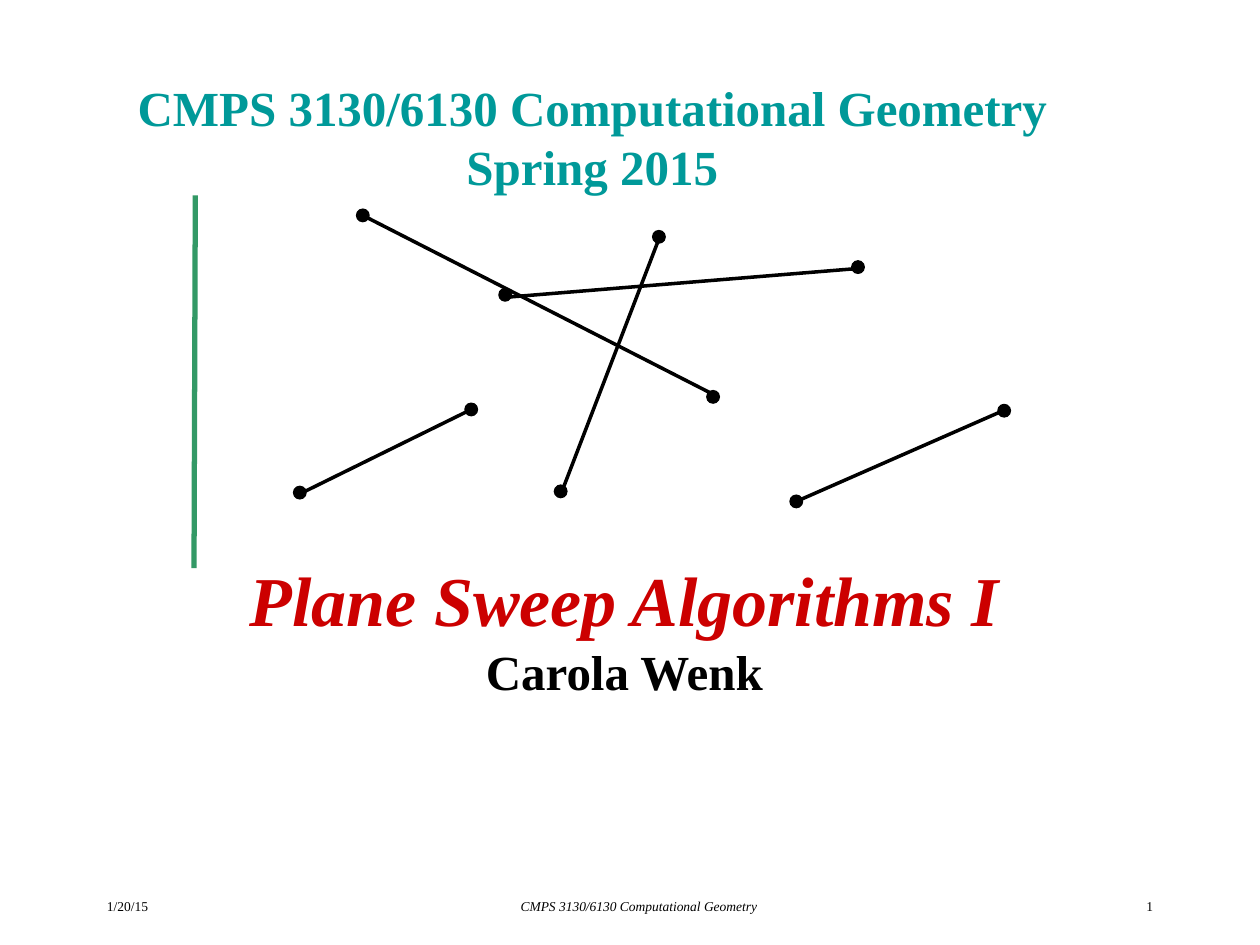
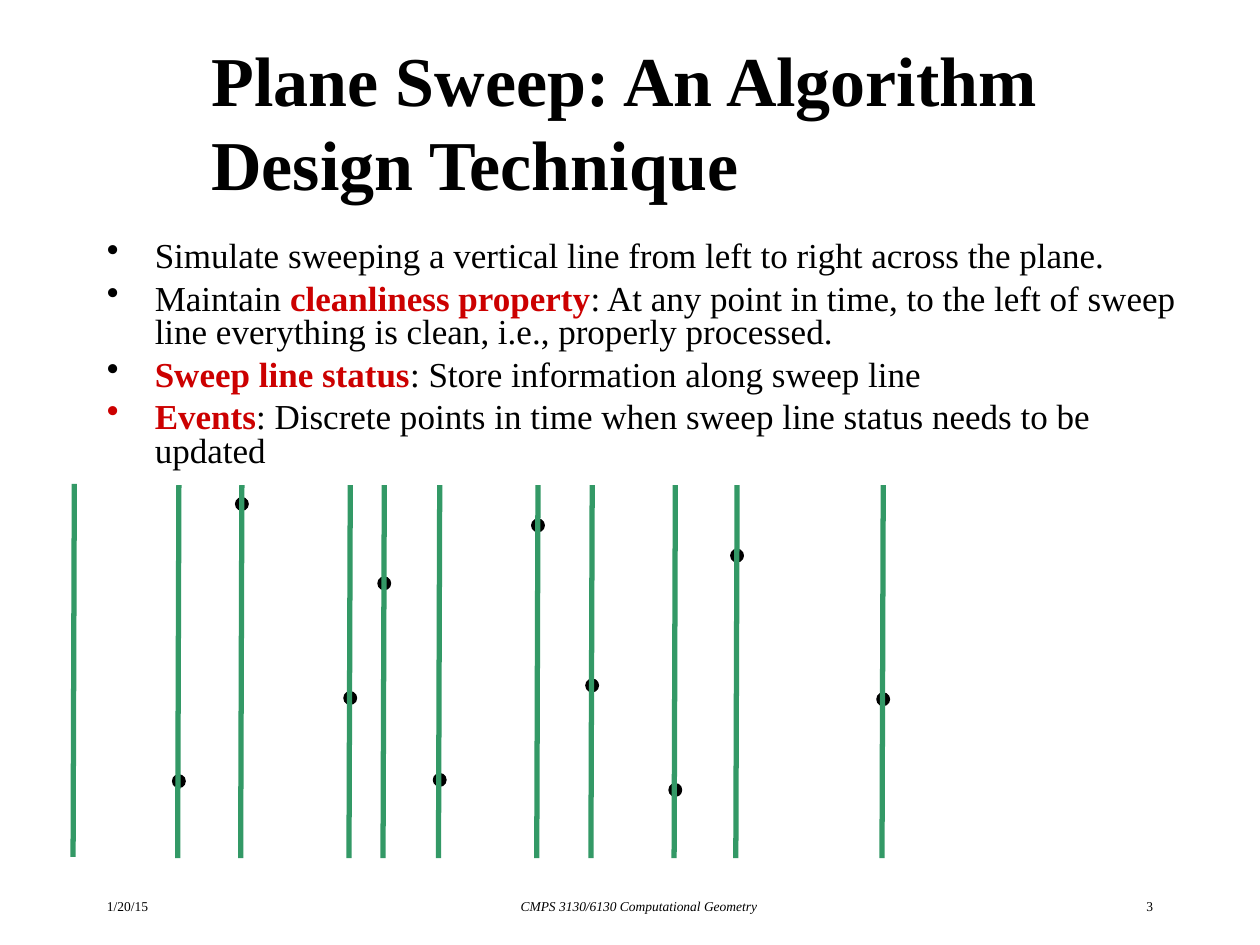
import pptx
import pptx.util
import pptx.dml.color
import pptx.enum.shapes
import pptx.enum.text
import pptx.oxml
import pptx.oxml.ns

Inches = pptx.util.Inches
Pt = pptx.util.Pt
ALIGN = pptx.enum.text.PP_ALIGN
ANCHOR = pptx.enum.text.MSO_ANCHOR
SHAPES = pptx.enum.shapes

BLACK, RED, TEAL, GREEN = "000000", "CC0000", "009999", "339966"
COURSE = "CMPS 3130/6130 Computational Geometry"
DOTS = [(4.4, 3.85), (5.18, 1.83), (5.61, 3.1), (6.27, 3.93), (7.92, 3.21),
        (6.76, 2.07), (3.96, 2.29), (3.69, 3.2), (2.83, 1.66), (2.33, 3.86)]
SEGMENTS = [(2.38, 3.92, 3.76, 3.24), (2.88, 1.71, 5.68, 3.14),
            (4.46, 3.9, 5.24, 1.87), (4.01, 2.36, 6.82, 2.13),
            (6.32, 3.98, 7.96, 3.26)]
DOT = 0.1
SHIFT = (-0.96, 2.29)


def color(code):
    return pptx.dml.color.RGBColor.from_string(code)


class Deck:
    font = "Times New Roman"

    def __init__(self):
        self.show = pptx.Presentation()
        self.show.slide_width = Inches(10)
        self.show.slide_height = Inches(7.5)

    def page(self, number):
        self.slide = self.show.slides.add_slide(self.show.slide_layouts[6])
        self.foot(0.75, 0.95, "1/20/15", ALIGN.LEFT)
        self.foot(1.9, 6.34, COURSE, ALIGN.CENTER, italic=True)
        self.foot(8.43, 0.82, number, ALIGN.RIGHT)

    def foot(self, left, width, words, align, **style):
        frame = self.box(left, 7.08, width, 0.25)
        self.para(frame, [(words, style)], 7.7, alignment=align)

    def title(self, place, lines, size, code, align):
        frame = self.box(*place, anchor=ANCHOR.MIDDLE)
        runs = [(line, {"bold": True, "code": code}) for line in lines]
        self.para(frame, runs, size, alignment=align)

    def box(self, left, top, width, height, anchor=ANCHOR.TOP):
        frame = self.slide.shapes.add_textbox(
            Inches(left), Inches(top), Inches(width), Inches(height)).text_frame
        frame.word_wrap = True
        frame.vertical_anchor = anchor
        return frame

    def para(self, frame, runs, size, bullet=None, **form):
        first = frame.paragraphs[0]
        para = frame.add_paragraph() if first.runs else first
        if para is first:
            form.pop("space_before", None)
        if bullet:
            self.bullet(para, bullet)
        for name, value in form.items():
            setattr(para, name, value)
        for index, (words, style) in enumerate(runs):
            if index and not bullet:
                para.add_line_break()
            run = para.add_run()
            run.text = words
            look = {"name": self.font, "size": Pt(size), **style}
            run.font.color.rgb = color(look.pop("code", BLACK))
            for name, value in look.items():
                setattr(run.font, name, value)

    def bullet(self, para, code):
        props = para._p.get_or_add_pPr()
        props.set("marL", str(Inches(0.38)))
        props.set("indent", str(-Inches(0.38)))
        space = pptx.oxml.ns.nsdecls("a")
        for xml in (f'<a:buClr {space}><a:srgbClr val="{code}"/></a:buClr>',
                    f'<a:buChar {space} char="•"/>'):
            props.append(pptx.oxml.parse_xml(xml))

    def dot(self, left, top):
        dot = self.slide.shapes.add_shape(
            SHAPES.MSO_SHAPE.OVAL, Inches(left), Inches(top), Inches(DOT), Inches(DOT))
        dot.shadow.inherit = False
        dot.fill.solid()
        dot.fill.fore_color.rgb = color(BLACK)
        dot.line.color.rgb = color(BLACK)
        dot.line.width = Pt(0.75)

    def line(self, ends, code=BLACK, width=2):
        line = self.slide.shapes.add_connector(
            SHAPES.MSO_CONNECTOR.STRAIGHT, *[Inches(end) for end in ends])
        line.line.color.rgb = color(code)
        line.line.width = Pt(width)
        props = line._element.spPr
        props.append(props.makeelement(pptx.oxml.ns.qn("a:effectLst"), {}))

    def sweep(self, left, top):
        self.line((left, top, left - 0.01, top + 2.96), GREEN, 3)


def cover(deck):
    deck.page("1")
    deck.title((0.24, 0.54, 8.92, 1.08), [COURSE, "Spring 2015"], 28, TEAL, ALIGN.CENTER)
    frame = deck.box(0.33, 4.5, 9.25, 1.67)
    form = {"alignment": ALIGN.CENTER, "line_spacing": 0.8}
    topic = {"bold": True, "italic": True, "code": RED}
    deck.para(frame, [("Plane Sweep Algorithms I", topic)], 40, **form)
    deck.para(frame, [("Carola Wenk", {"bold": True})], 28, space_before=Pt(7), **form)
    for left, top in DOTS:
        deck.dot(left, top)
    deck.sweep(1.55, 1.55)
    for ends in SEGMENTS:
        deck.line(ends)


def method(deck):
    deck.page("3")
    deck.title((1.58, 0.33, 8.25, 1.25), ["Plane Sweep: An Algorithm Design Technique"],
               40, BLACK, ALIGN.LEFT)
    term = {"bold": True, "code": RED}
    points = [
        (BLACK, [("Simulate sweeping a vertical line from left to right across the plane.", {})]),
        (BLACK, [("Maintain ", {}), ("cleanliness property", term),
                 (": At any point in time, to the left of sweep line everything is clean, "
                  "i.e., properly processed.", {})]),
        (BLACK, [("Sweep line status", term), (": Store information along sweep line", {})]),
        (RED, [("Events", term),
               (": Discrete points in time when sweep line status needs to be updated", {})]),
    ]
    frame = deck.box(0.75, 1.87, 8.72, 2.62)
    for code, runs in points:
        deck.para(frame, runs, 20, bullet=code, line_spacing=0.8, space_before=Pt(5))
    events = [(left + SHIFT[0], top + SHIFT[1]) for left, top in DOTS]
    for left, top in events:
        deck.dot(left, top)
    deck.sweep(0.59, 3.84)
    for left, top in sorted(events):
        deck.sweep(left + DOT / 2, 3.85)


def main():
    deck = Deck()
    cover(deck)
    method(deck)
    deck.show.save("out.pptx")


if __name__ == "__main__":
    main()
